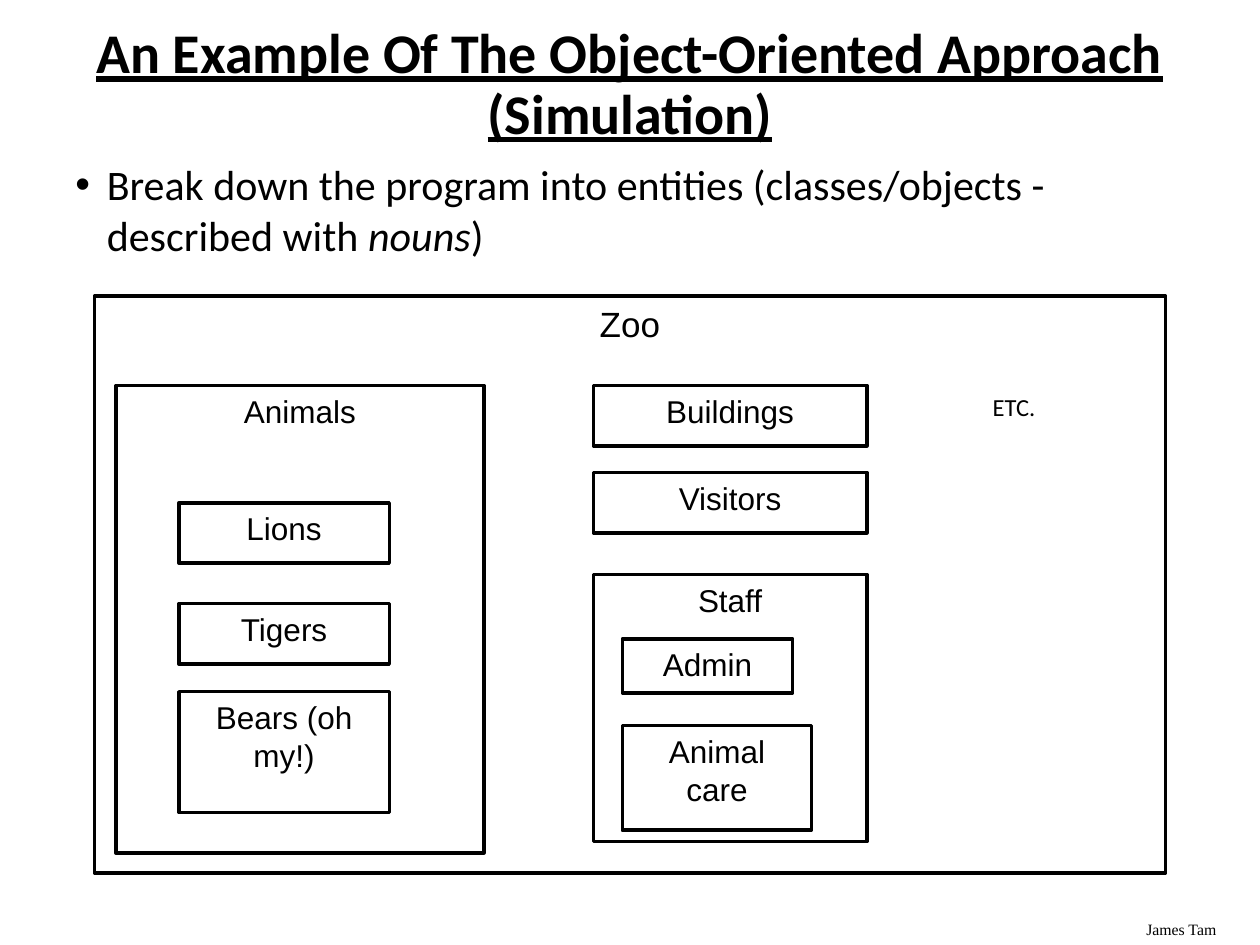
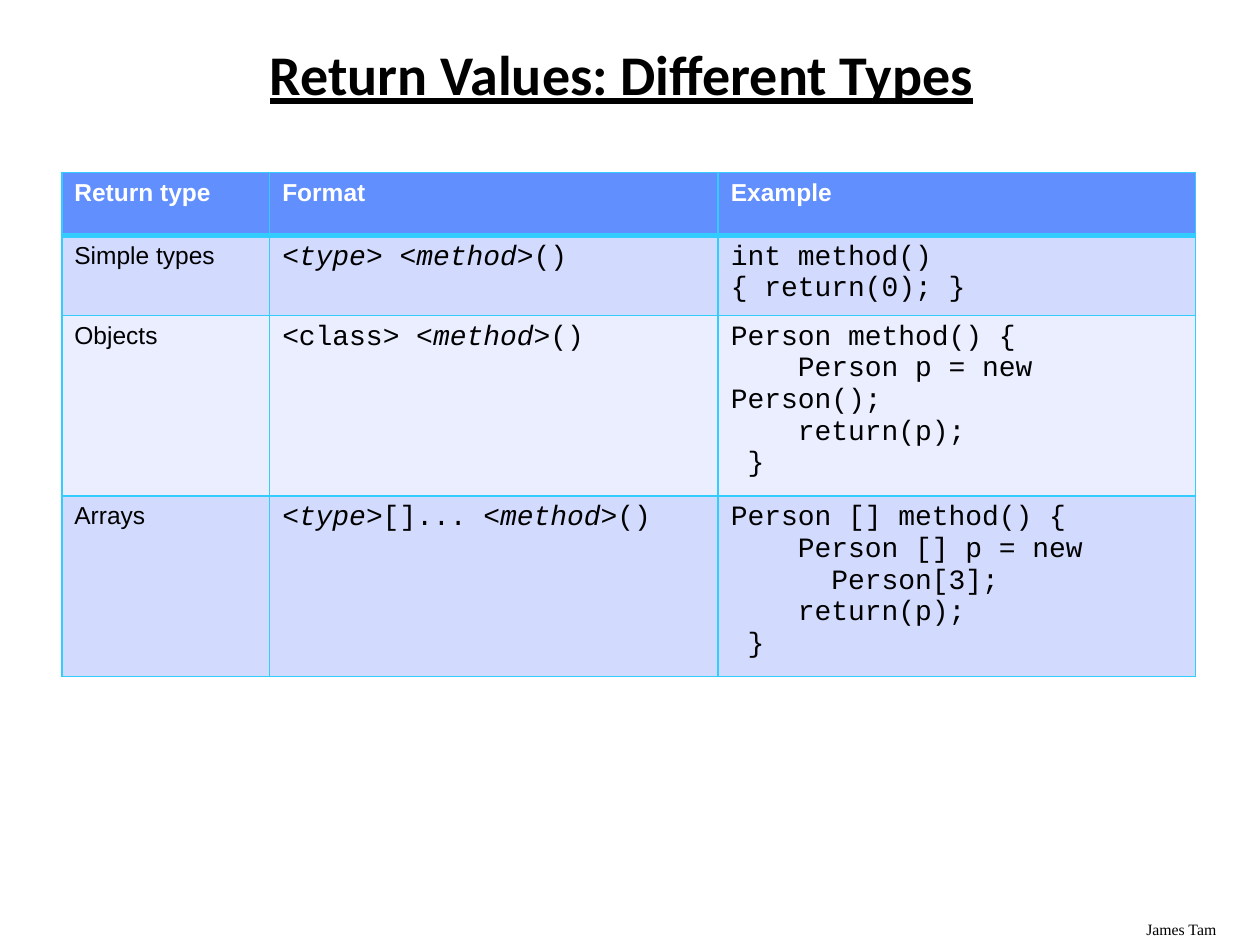
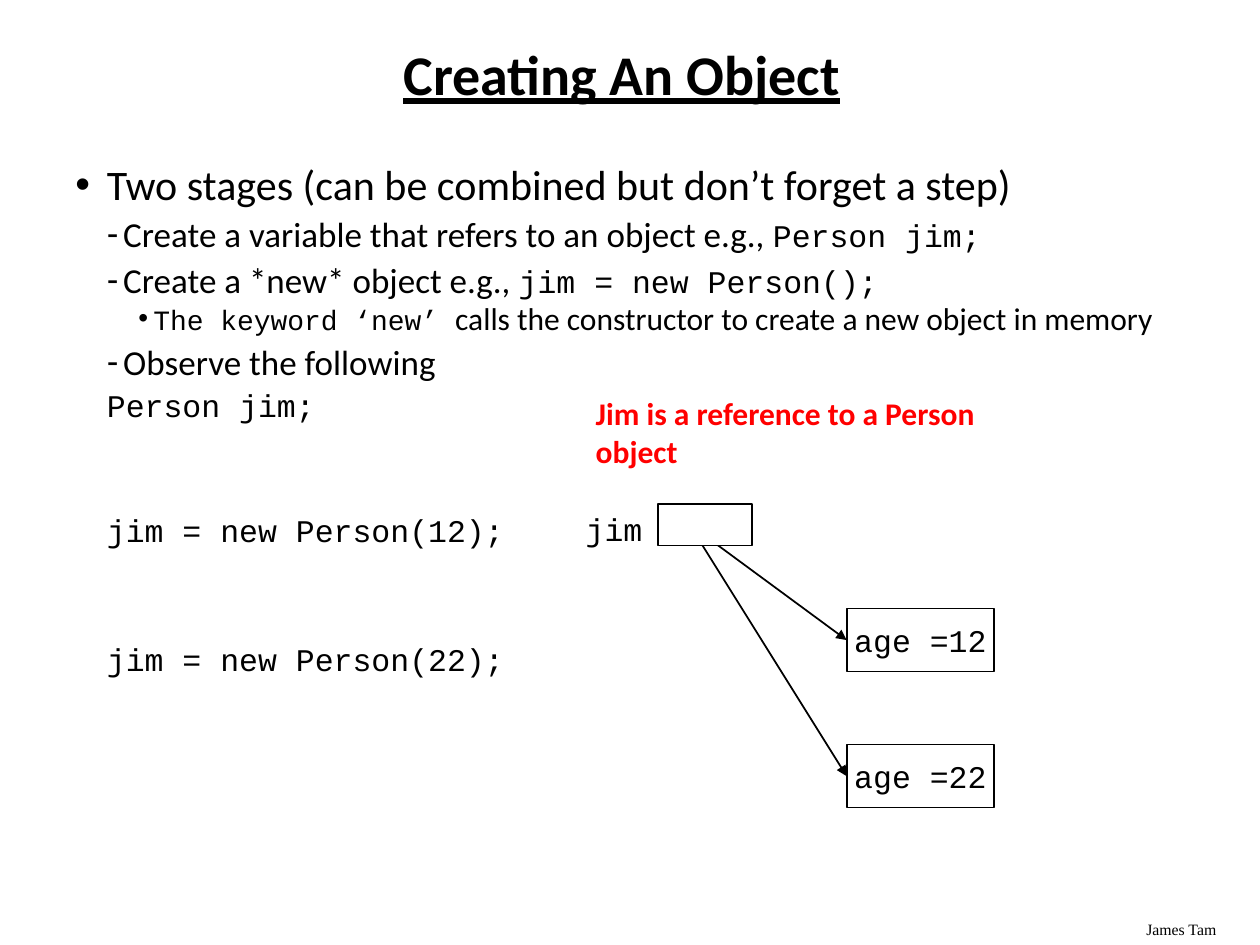
from dataclasses import dataclass, replace
from typing import NamedTuple, Optional

import pptx
import pptx.dml.color
import pptx.enum.shapes
import pptx.enum.text
import pptx.oxml.ns
import pptx.util
from lxml import etree

# Shared look: a grid of 100 columns by 75 rows covers the slide
COLORS = {
    "black": "000000", "white": "FFFFFF", "red": "FF0000",
    "border": "33CCFF", "header": "618FFD", "band dark": "D2DBFE", "band light": "EAEEFF",
}
SLIDE_WIDTH = pptx.util.Inches(10)
SLIDE_HEIGHT = pptx.util.Inches(7.5)
COLUMN = SLIDE_WIDTH / 100
ROW = SLIDE_HEIGHT / 75
CODE_CHARACTER = 1.33  # columns taken by one character of 16 point code

ALIGN = pptx.enum.text.PP_ALIGN
ANCHOR = pptx.enum.text.MSO_ANCHOR
RECTANGLE = pptx.enum.shapes.MSO_SHAPE.RECTANGLE
STRAIGHT = pptx.enum.shapes.MSO_CONNECTOR.STRAIGHT
qn = pptx.oxml.ns.qn


class Place(NamedTuple):
    column: float
    row: float
    columns: float
    rows: float


@dataclass(frozen=True)
class Style:
    font: str
    size: float
    color: str = "black"
    bold: bool = False
    italic: bool = False
    underline: bool = False


class Span(NamedTuple):
    text: str
    style: Style


@dataclass(frozen=True)
class Line:
    spans: tuple[Span, ...]
    align: ALIGN = ALIGN.LEFT
    level: int = 0
    margin: float = 0
    first: float = 0
    bullet: str = ""
    before_percent: int = 0
    before_points: float = 0
    spacing: Optional[float] = None


class Block(NamedTuple):
    place: Place
    lines: tuple[str, ...]
    size: float = 18


TITLE = Style("Calibri", 32, bold=True, underline=True)
FOOTER = Style("Times New Roman", 9)
BODY = Style("Calibri", 24)
SUB_BODY = Style("Calibri", 20)
DETAIL = Style("Calibri", 18)
CODE = Style("Courier New", 18)
CELL = Style("Arial", 14)
CELL_HEADER = replace(CELL, color="white", bold=True)
CELL_CODE = Style("Courier New", 16)
CELL_SLANTED = replace(CELL_CODE, italic=True)

WIDE_TITLE = Place(5, 3.3, 90, 7)
TITLE_PLACE = Place(4.7, 3.3, 89.3, 5.7)


# Drawing helpers
def across(columns: float) -> int:
    return round(columns * COLUMN)


def down(rows: float) -> int:
    return round(rows * ROW)


def bounds(place: Place) -> tuple[int, int, int, int]:
    return across(place.column), down(place.row), across(place.columns), down(place.rows)


def rgb(color: str) -> pptx.dml.color.RGBColor:
    return pptx.dml.color.RGBColor.from_string(COLORS[color])


def plain(text: str, style: Style, **options) -> Line:
    return Line((Span(text, style),), **options)


def write(frame, lines) -> None:
    for number, line in enumerate(lines):
        para = frame.add_paragraph() if number else frame.paragraphs[0]
        para.text = line.spans[0].text
        for piece in line.spans[1:]:
            para.add_run().text = piece.text
        for span, piece in zip(para.runs, line.spans):
            style, font = piece.style, span.font
            font.name, font.size = style.font, pptx.util.Pt(style.size)
            font.bold, font.italic, font.underline = style.bold, style.italic, style.underline
            font.color.rgb = rgb(style.color)
        para.alignment, para.level = line.align, line.level
        properties = para._p.get_or_add_pPr()
        properties.set("marL", str(across(line.margin)))
        properties.set("indent", str(across(line.first)))
        if line.before_percent:
            before = etree.SubElement(properties, qn("a:spcBef"))
            etree.SubElement(before, qn("a:spcPct"), val=str(line.before_percent * 1000))
        elif line.before_points:
            para.space_before = pptx.util.Pt(line.before_points)
        if line.bullet:
            etree.SubElement(properties, qn("a:buFont"), typeface="Arial")
            etree.SubElement(properties, qn("a:buChar"), char=line.bullet)
        if line.spacing:
            para.line_spacing = line.spacing


def add_text(page, place: Place, lines, anchor=ANCHOR.TOP) -> None:
    frame = page.shapes.add_textbox(*bounds(place)).text_frame
    frame.word_wrap = True
    frame.vertical_anchor = anchor
    write(frame, lines)


def add_box(page, place: Place, lines=(), width: float = 1, fill: str = "",
            anchor=ANCHOR.TOP, wrap: bool = True):
    box = page.shapes.add_shape(RECTANGLE, *bounds(place))
    box.shadow.inherit = False
    if fill:
        box.fill.solid()
        box.fill.fore_color.rgb = rgb(fill)
    else:
        box.fill.background()
    box.line.color.rgb = rgb("black")
    box.line.width = pptx.util.Pt(width)
    box.text_frame.word_wrap = wrap
    box.text_frame.vertical_anchor = anchor
    write(box.text_frame, lines)
    return box


def add_arrow(page, column: float, row: float, target) -> None:
    start = across(column), down(row)
    arrow = page.shapes.add_connector(STRAIGHT, *start, *start)
    arrow.end_connect(target, 1)
    arrow.line.color.rgb = rgb("black")
    arrow.line.width = pptx.util.Pt(1)
    etree.SubElement(arrow.line._get_or_add_ln(), qn("a:tailEnd"), type="triangle")
    etree.SubElement(arrow._element.spPr, qn("a:effectLst"))


def add_border(cell, side: str, points: float) -> None:
    properties = cell._tc.get_or_add_tcPr()
    edge = etree.SubElement(properties, qn(f"a:ln{side}"), w=str(pptx.util.Pt(points)))
    fill = etree.SubElement(edge, qn("a:solidFill"))
    etree.SubElement(fill, qn("a:srgbClr"), val=COLORS["border"])


def add_page(deck, title: str, place: Place = TITLE_PLACE):
    page = deck.slides.add_slide(deck.slide_layouts[6])
    add_text(page, Place(90, 72.5, 10, 2.5), [plain("James Tam", FOOTER)])
    heading = plain(title, TITLE, align=ALIGN.CENTER, spacing=0.9)
    add_text(page, place, [heading], ANCHOR.MIDDLE)
    return page


def top_point(*spans: Span) -> Line:
    return Line(spans, margin=2.5, first=-2.5, bullet="•", before_percent=30)


def sub_point(*spans: Span, bullet: str = "-", gap: float = 0) -> Line:
    return Line(spans, level=1, margin=3.8, first=-1.3, bullet=bullet,
                before_percent=0 if gap else 10, before_points=gap)


# Slide 1: nested boxes of the zoo
def zoo_page(deck) -> None:
    page = add_page(deck, "An Example Of The Object-Oriented Approach (Simulation)", WIDE_TITLE)
    add_text(page, Place(5, 12.1, 89.4, 58.7), [top_point(
        Span("Break down the program into entities (classes/objects - described with ", BODY),
        Span("nouns", replace(BODY, italic=True)),
        Span(")", BODY),
    )])
    blocks = [
        Block(Place(7.5, 23.5, 85, 45.8), ("Zoo",), 20),
        Block(Place(9.2, 30.6, 29.2, 37.1), ("Animals",)),
        Block(Place(47.1, 30.6, 21.7, 4.8), ("Buildings",)),
        Block(Place(47.1, 37.5, 21.7, 4.8), ("Visitors",)),
        Block(Place(47.1, 45.6, 21.7, 21.2), ("Staff",)),
        Block(Place(49.4, 50.7, 13.5, 4.3), ("Admin",)),
        Block(Place(49.4, 57.6, 15, 8.3), ("Animal", "care")),
        Block(Place(14.2, 39.9, 16.7, 4.8), ("Lions",)),
        Block(Place(14.2, 47.9, 16.7, 4.8), ("Tigers",)),
        Block(Place(14.2, 54.9, 16.7, 9.6), ("Bears (oh my!)",)),
    ]
    for block in blocks:
        style = Style("Arial", block.size)
        lines = [plain(text, style, align=ALIGN.CENTER) for text in block.lines]
        add_box(page, block.place, lines, width=2)
    add_text(page, Place(77.8, 30.6, 12.5, 3.3), [plain("ETC.", Style("Calibri", 14))])


# Slide 2: table of return types
def code_lines(*lines: tuple[int, str]) -> list[Line]:
    return [plain(text, CELL_CODE, first=depth * CODE_CHARACTER) for depth, text in lines]


def signature(*parts: str) -> list[Line]:
    """Every second part is slanted."""
    styles = (CELL_CODE, CELL_SLANTED)
    return [Line(tuple(Span(part, styles[number % 2]) for number, part in enumerate(parts)))]


def return_page(deck) -> None:
    page = add_page(deck, "Return Values: Different Types")
    rows = [
        [[plain(text, CELL_HEADER)] for text in ("Return type", "Format", "Example")],
        [[plain("Simple types", CELL)],
         signature("<", "type", "> <", "method", ">()"),
         code_lines((0, "int method() { return(0); }"))],
        [[plain("Objects", CELL)],
         signature("<class> <", "method", ">()"),
         code_lines((0, "Person method() {"), (4, "Person p = new Person();"),
                    (4, "return(p);"), (1, "}"))],
        [[plain("Arrays", CELL)],
         signature("<", "type", ">[]... <", "method>", "()"),
         code_lines((0, "Person [] method() {"), (4, "Person [] p = new"),
                    (6, "Person[3];"), (4, "return(p);"), (1, "}"))],
    ]
    fills = ("header", "band dark", "band light", "band dark")
    table = page.shapes.add_table(4, 3, *bounds(Place(4.9, 13.7, 90, 36))).table
    for column, columns in zip(table.columns, (16.5, 35.6, 37.9)):
        column.width = across(columns)
    for row, height in zip(table.rows, (5, 5, 6.4, 5)):
        row.height = down(height)
    for row_number, row in enumerate(rows):
        for column_number, lines in enumerate(row):
            cell = table.cell(row_number, column_number)
            for side in "LRTB":
                below_header = (row_number, side) in ((0, "B"), (1, "T"))
                add_border(cell, side, 3 if below_header else 1)
            cell.fill.solid()
            cell.fill.fore_color.rgb = rgb(fills[row_number])
            write(cell.text_frame, lines)


# Slide 3: a reference and the objects it points to
def object_page(deck) -> None:
    page = add_page(deck, "Creating An Object")
    add_text(page, Place(5, 12.1, 89.4, 43.1), [
        top_point(Span("Two stages (can be combined but don’t forget a step)", BODY)),
        sub_point(Span("Create a variable that refers to an object e.g., ", SUB_BODY),
                  Span("Person jim;", CODE)),
        sub_point(Span("Create a *new* object e.g., ", SUB_BODY),
                  Span("jim = new Person();", CODE)),
        Line((Span("The keyword ‘new’ ", CELL_CODE),
              Span("calls the constructor to create a new object in memory", DETAIL)),
             level=2, margin=6.2, first=-1.2, bullet="•", before_percent=10, spacing=0.9),
        sub_point(Span("Observe the following", SUB_BODY)),
        sub_point(Span("Person jim;", CODE), bullet=""),
        sub_point(Span("jim = new Person(12);", CODE), bullet="", gap=50),
        sub_point(Span("jim = new Person(22);", CODE), bullet="", gap=52),
    ])
    add_text(page, Place(45.5, 40, 6.7, 4), [plain("jim", CODE, before_percent=50)])
    note = replace(DETAIL, color="red", bold=True)
    add_text(page, Place(46.3, 30.8, 35, 7),
             [plain("Jim is a reference to a Person object", note, before_percent=50)])
    for row, age in ((59.1, 22), (48.3, 12)):
        label = plain(f"age ={age}", CODE, align=ALIGN.CENTER)
        person = add_box(page, Place(67.2, row, 11.7, 5), [label],
                         anchor=ANCHOR.MIDDLE, wrap=False)
        add_arrow(page, 54.7, 41.6, person)
    add_box(page, Place(52.2, 40, 7.5, 3.3), fill="white")


def main() -> None:
    deck = pptx.Presentation()
    deck.slide_width, deck.slide_height = SLIDE_WIDTH, SLIDE_HEIGHT
    zoo_page(deck)
    return_page(deck)
    object_page(deck)
    deck.save("out.pptx")


if __name__ == "__main__":
    main()
